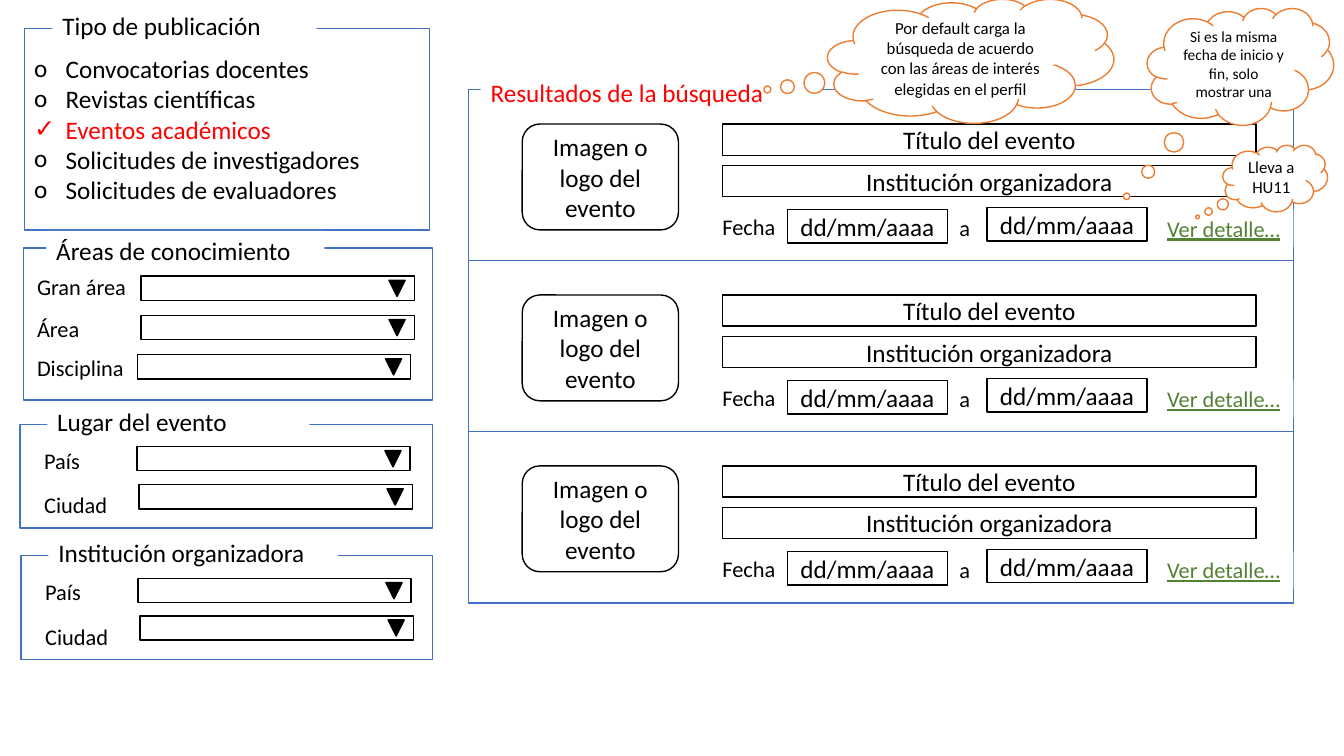
from dataclasses import dataclass

from lxml.etree import SubElement
from pptx import Presentation
from pptx.dml.color import RGBColor
from pptx.enum.shapes import MSO_SHAPE
from pptx.enum.text import MSO_ANCHOR, MSO_AUTO_SIZE, PP_ALIGN
from pptx.oxml.ns import qn
from pptx.util import Pt


@dataclass(frozen=True)
class Theme:
    font: str = "Calibri"
    ink: str = "000000"
    paper: str = "FFFFFF"
    panel: str = "4472C4"
    callout: str = "ED7D31"
    accent: str = "FF0000"
    link: str = "548235"
    title: int = 18
    label: int = 16
    note: int = 12
    small_note: int = 11


THEME = Theme()
CENTERED = {"vertical_anchor": MSO_ANCHOR.MIDDLE, "word_wrap": True}
CAPTION = {"vertical_anchor": MSO_ANCHOR.TOP, "word_wrap": True,
           "auto_size": MSO_AUTO_SIZE.SHAPE_TO_FIT_TEXT}
ONE_LINE = {**CAPTION, "word_wrap": False}

PUBLICATION_TYPES = ["Convocatorias docentes", "Revistas científicas", "Eventos académicos",
                     "Solicitudes de investigadores", "Solicitudes de evaluadores"]
CHOSEN_TYPE = "Eventos académicos"

# Filter: frame, title box, label left, fields (label, label top, list left, list top)
FILTERS = [
    ((16.6, 177.1, 292.3, 108.7), "Áreas de conocimiento", (33.1, 164.9, 198.7, 28.8), 19.4,
     [("Gran área", 191.5, 100.8, 197.3), ("Área", 221.8, 100.8, 225.4),
      ("Disciplina", 249.1, 98.3, 253.4)]),
    ((14.4, 303.1, 294.5, 74.2), "Lugar del evento", (33.8, 286.6, 187.2, 28.8), 24.5,
     [("País", 316.1, 97.9, 319), ("Ciudad", 347.4, 99.4, 346.3)]),
    ((15.1, 396.7, 293.8, 74.2), "Institución organizadora", (34.6, 380.2, 206.6, 28.8), 25.2,
     [("País", 409.7, 98.6, 413.3), ("Ciudad", 441.4, 100.1, 439.9)]),
]

# Callout: place, pointer, type size, text
CALLOUTS = [
    ((591.1, -0.7, 204.5, 88.6), (-0.71, 0.23), THEME.note,
     "Por default carga la búsqueda de acuerdo con las áreas de interés elegidas en el perfil"),
    ((819.4, 5.8, 133.2, 83.5), (-0.61, 1.11), THEME.small_note,
     "Si es la misma fecha de inicio y fin, solo mostrar una"),
    ((873.4, 103.7, 74.9, 47.5), (-0.74, 0.58), THEME.note, "Lleva a HU11"),
]

RESULT_COUNT = 3
RESULT_TOP, RESULT_PITCH = 64.1, 122.1


def apply(target, values):
    for name, value in values.items():
        setattr(target, name, value)


def add_box(parent, place, line=THEME.ink, fill=THEME.paper, kind=MSO_SHAPE.RECTANGLE):
    box = parent.shapes.add_shape(kind, *map(Pt, place))
    box.shadow.inherit = False
    box.fill.solid()
    box.fill.fore_color.rgb = RGBColor.from_string(fill)
    if line:
        box.line.color.rgb = RGBColor.from_string(line)
        box.line.width = Pt(1)
    else:
        box.line.fill.background()
    return box


def add_span(para, text, size, color, underline=None):
    span = para.add_run()
    span.text = text
    apply(span.font, {"name": THEME.font, "size": Pt(size), "underline": underline})
    span.font.color.rgb = RGBColor.from_string(color)


def write(box, text, size=THEME.title, color=THEME.ink, frame=CENTERED,
          align=PP_ALIGN.CENTER, underline=None):
    apply(box.text_frame, frame)
    para = box.text_frame.paragraphs[0]
    para.alignment = align
    add_span(para, text, size, color, underline)


def add_title(page, text, place, color=THEME.ink):
    write(add_box(page, place, line=None), text, color=color, frame=CAPTION, align=PP_ALIGN.LEFT)


def add_label(page, text, left, top, width, frame=CAPTION):
    box = page.shapes.add_textbox(*map(Pt, (left, top, width, 26.6)))
    write(box, text, THEME.label, frame=frame, align=PP_ALIGN.LEFT)


def add_dropdown(page, left, top):
    group = page.shapes.add_group_shape()
    add_box(group, (left, top, 195.1, 17.3))
    arrow = add_box(group, (left + 177.1, top + 2.9, 11.5, 11.5), fill=THEME.ink,
                    kind=MSO_SHAPE.ISOSCELES_TRIANGLE)
    arrow.rotation = 180


def set_bullet(para, mark):
    properties = para._p.get_or_add_pPr()
    properties.set("marL", str(Pt(22.5)))
    properties.set("indent", str(Pt(-22.5)))
    SubElement(properties, qn("a:buFont")).set("typeface", THEME.font)
    SubElement(properties, qn("a:buChar")).set("char", mark)


def add_type_list(page):
    box = add_box(page, (17.3, 20.2, 289.4, 144), THEME.panel)
    apply(box.text_frame, CENTERED)
    for index, name in enumerate(PUBLICATION_TYPES):
        para = box.text_frame.add_paragraph() if index else box.text_frame.paragraphs[0]
        para.alignment = PP_ALIGN.LEFT
        chosen = name == CHOSEN_TYPE
        set_bullet(para, "✓" if chosen else "o")
        add_span(para, name, THEME.title, THEME.accent if chosen else THEME.ink)
    add_title(page, "Tipo de publicación", (37.4, 3.6, 188.6, 28.8))


def add_filter(page, frame, title, title_place, label_left, fields):
    add_box(page, frame, THEME.panel)
    add_title(page, title, title_place)
    for text, label_top, list_left, list_top in fields:
        add_label(page, text, label_left, label_top, 100)
        add_dropdown(page, list_left, list_top)


def add_result(page, top):
    add_box(page, (334.8, top, 589, 122.4), THEME.panel)
    image = add_box(page, (373, top + 24.5, 111.6, 75.6), kind=MSO_SHAPE.ROUNDED_RECTANGLE)
    write(image, "Imagen o logo del evento")
    for text, place in [
        ("Título del evento", (516.2, top + 24.5, 380.9, 22.3)),
        ("Institución organizadora", (516.2, top + 54, 380.9, 22.3)),
        ("dd/mm/aaaa", (704.9, top + 84.2, 114.5, 23.8)),
        ("dd/mm/aaaa", (562.3, top + 85.7, 114.5, 23.8)),
    ]:
        write(add_box(page, place), text)
    add_label(page, "Fecha", 509, top + 84.4, 52.6, ONE_LINE)
    add_label(page, "a", 678.2, top + 85.1, 22.3, ONE_LINE)
    detail = add_box(page, (826.6, top + 85.7, 97.2, 26.6), line=None)
    write(detail, "Ver detalle…", THEME.label, THEME.link, ONE_LINE, PP_ALIGN.LEFT, True)


def add_callout(page, place, pointer, size, text):
    cloud = add_box(page, place, THEME.callout, kind=MSO_SHAPE.CLOUD_CALLOUT)
    for index, value in enumerate(pointer):
        cloud.adjustments[index] = value
    write(cloud, text, size)


def main():
    deck = Presentation()
    apply(deck, {"slide_width": Pt(960), "slide_height": Pt(540)})
    page = deck.slides.add_slide(deck.slide_layouts[6])

    # Search filters
    add_type_list(page)
    for search_filter in FILTERS:
        add_filter(page, *search_filter)

    # Search results
    for index in range(RESULT_COUNT):
        add_result(page, RESULT_TOP + index * RESULT_PITCH)
    add_title(page, "Resultados de la búsqueda", (343.4, 51.8, 233.3, 28.8), THEME.accent)

    # Explanatory callouts
    for callout in CALLOUTS:
        add_callout(page, *callout)

    deck.save("out.pptx")


main()
